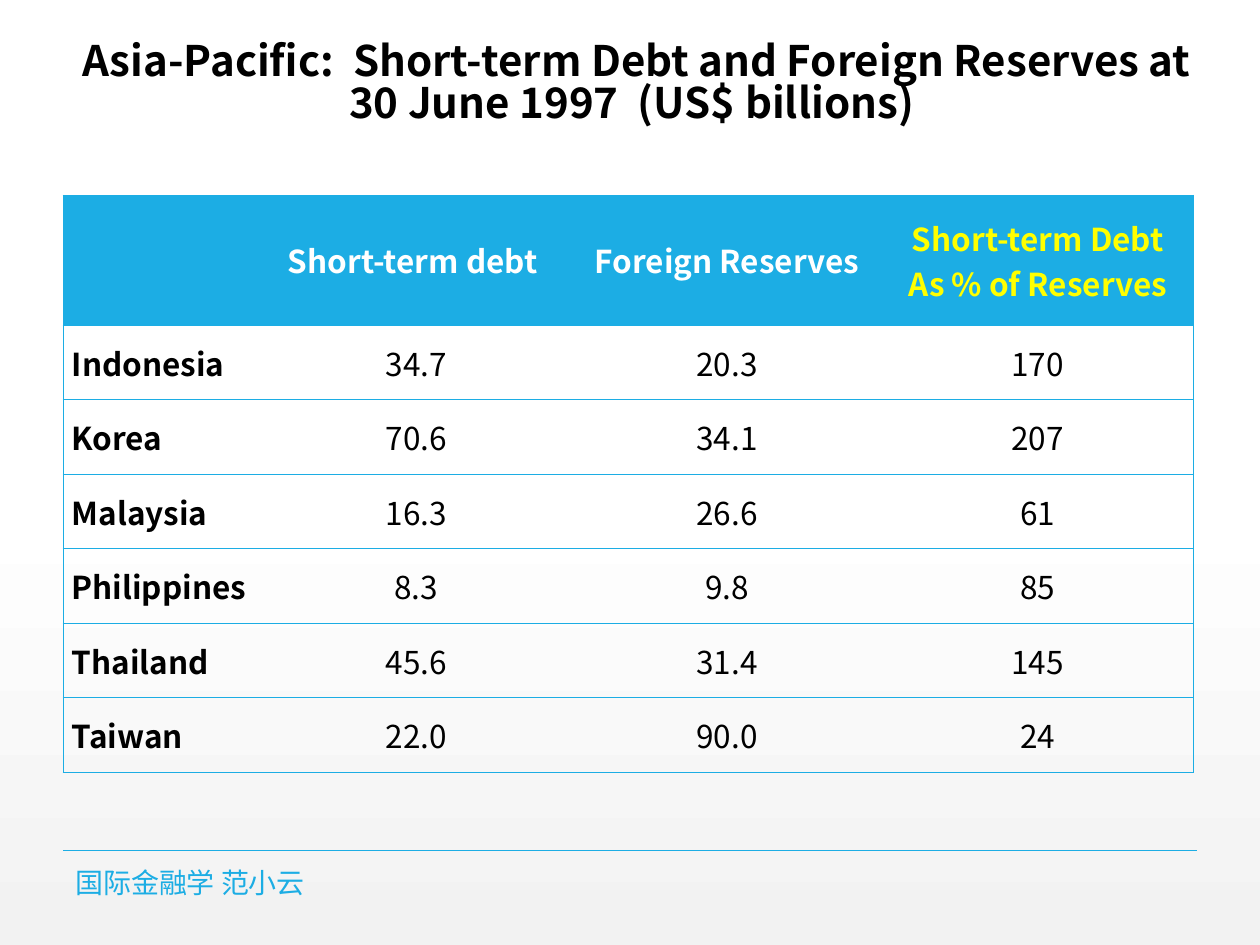
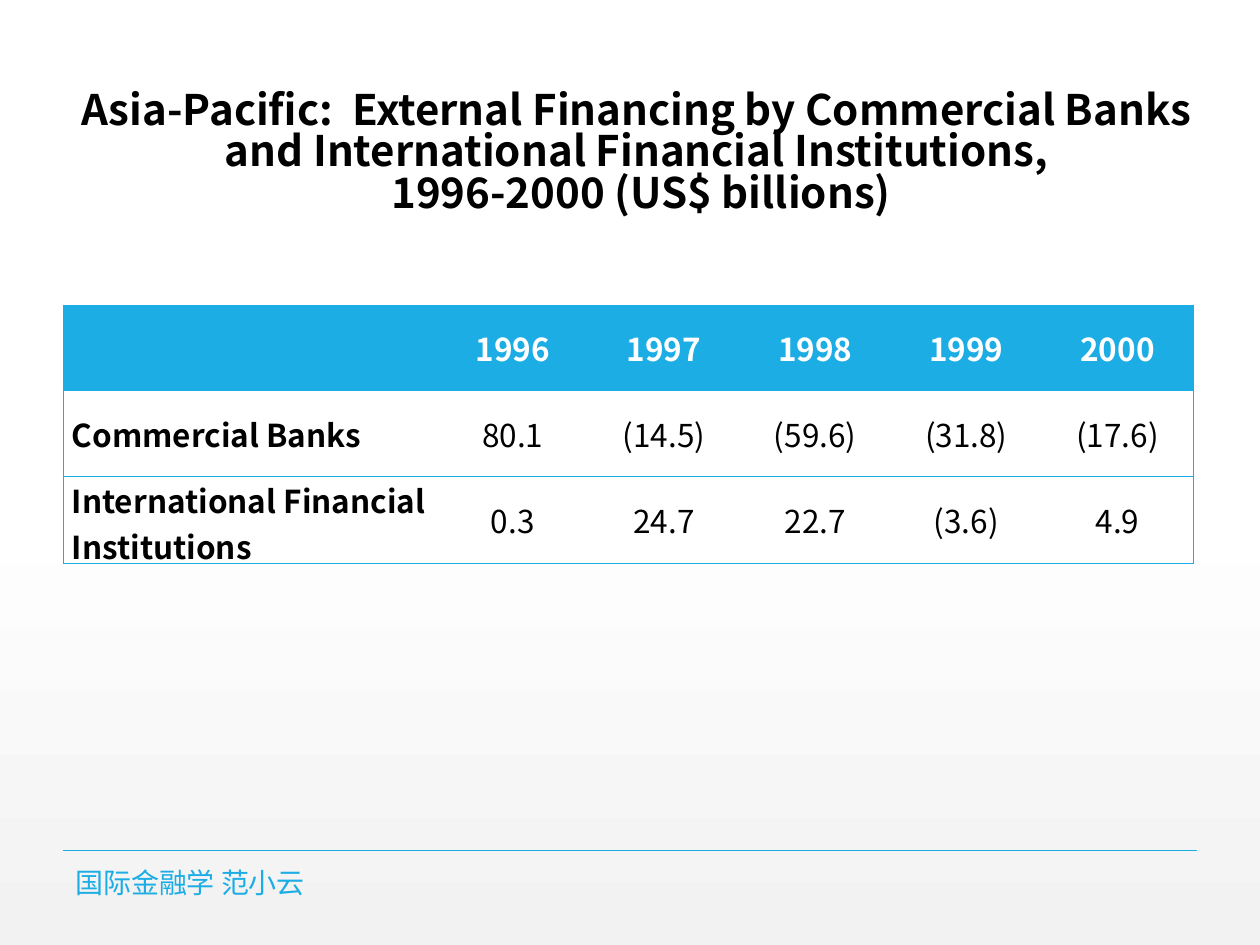
from lxml import etree
from pptx import Presentation
from pptx.dml.color import RGBColor
from pptx.enum.shapes import MSO_CONNECTOR
from pptx.enum.text import MSO_ANCHOR, MSO_AUTO_SIZE, PP_ALIGN
from pptx.oxml.ns import qn
from pptx.util import Inches, Pt

STRAIGHT = MSO_CONNECTOR.STRAIGHT
MIDDLE = MSO_ANCHOR.MIDDLE
NO_AUTOFIT = MSO_AUTO_SIZE.NONE
LEFT, CENTER = PP_ALIGN.LEFT, PP_ALIGN.CENTER

COLORS = {
    "accent": "1CADE4",
    "text": "000000",
    "header": "FFFFFF",
    "highlight": "FFFF00",
    "page_top": "FFFFFF",
    "page_bottom": "F2F2F2",
}
FONT = "Noto Sans CJK SC"
PLAIN_TABLE_STYLE = "{2D5ABB26-0587-4C30-8999-92F81FD0307C}"
MARGIN = 0.5
TABLE_WIDTH = 8.97

DEBT_ROWS = [
    ["", "Short-term debt ", "Foreign Reserves", "Short-term Debt\nAs % of Reserves"],
    ["Indonesia", "34.7", "20.3", "170"],
    ["Korea", "70.6", "34.1", "207"],
    ["Malaysia", "16.3", "26.6", "61"],
    ["Philippines", "8.3", "9.8", "85"],
    ["Thailand", "45.6", "31.4", "145"],
    ["Taiwan", "22.0", "90.0", "24"],
]
FINANCING_ROWS = [
    ["", "1996", "1997", "1998", "1999", "2000"],
    ["Commercial Banks", "80.1", "(14.5)", "(59.6)", "(31.8)", "(17.6)"],
    ["International Financial Institutions", "0.3", "24.7", "22.7", "(3.6)", "4.9"],
]


def rgb(name):
    return RGBColor.from_string(COLORS[name])


def inches(box):
    return [Inches(length) for length in box]


def write(frame, text, size, color, bold=False, align=LEFT):
    frame.text = text
    for paragraph in frame.paragraphs:
        paragraph.alignment = align
        for run in paragraph.runs:
            run.font.size = Pt(size)
            run.font.bold = bold
            run.font.name = FONT
            run.font.color.rgb = rgb(color)
            east_asian = etree.SubElement(run.font._element, qn("a:ea"))
            east_asian.set("typeface", FONT)


def paint_background(master):
    fill = master.background.fill
    fill.gradient()
    fill.gradient_angle = 270
    stops = ((0.53, "page_top"), (1, "page_bottom"))
    for stop, (position, color) in zip(fill.gradient_stops, stops):
        stop.position = position
        stop.color.rgb = rgb(color)


def add_title(slide, box, text):
    title = slide.shapes.title
    title.left, title.top, title.width, title.height = inches(box)
    frame = title.text_frame
    write(frame, text, 24, "text", True, CENTER)
    frame.word_wrap = True
    frame.auto_size = NO_AUTOFIT
    frame.vertical_anchor = MIDDLE
    for paragraph in frame.paragraphs:
        paragraph.line_spacing = 0.83
        paragraph.space_before = Pt(0)


def add_footer(slide, box):
    left, top, width, height = box
    rule = slide.shapes.add_connector(
        STRAIGHT, *inches((left, top, left + width, top)))
    rule.line.color.rgb = rgb("accent")
    rule.line.width = Pt(1)
    etree.SubElement(rule._element.spPr, qn("a:effectLst"))
    credit = slide.shapes.add_textbox(*inches((left, top + 0.13, 5.03, height - 0.13)))
    frame = credit.text_frame
    write(frame, "国际金融学 范小云", 16, "accent")
    frame.word_wrap = True
    frame.vertical_anchor = MIDDLE
    frame.margin_top = frame.margin_bottom = 0


def set_borders(cell, sides):
    properties = cell._tc.get_or_add_tcPr()
    for index, side in enumerate(sides):
        border = etree.Element(qn(f"a:ln{side}"), w=str(Pt(0.5)))
        fill = etree.SubElement(border, qn("a:solidFill"))
        etree.SubElement(fill, qn("a:srgbClr"), val=COLORS["accent"])
        properties.insert(index, border)


def format_cell(cell, text, is_header, is_label, is_last, highlighted):
    if is_header:
        cell.fill.solid()
        cell.fill.fore_color.rgb = rgb("accent")
        color = "highlight" if highlighted else "header"
    else:
        cell.fill.background()
        color = "text"
    write(cell.text_frame, text, 18, color, is_header or is_label,
          LEFT if is_label else CENTER)
    cell.vertical_anchor = MIDDLE
    cell.margin_left = cell.margin_right = Inches(0.07)
    cell.margin_top = cell.margin_bottom = 0
    set_borders(cell, ("L" if is_label else "") + ("R" if is_last else "") + "TB")


def add_data_table(slide, box, rows, label_width, header_height, highlight_column=None):
    left, top, width, height = box
    count = len(rows[0])
    frame = slide.shapes.add_table(len(rows), count, *inches(box))
    table = frame.table
    table.first_row = table.horz_banding = False
    table._tbl.tblPr.find(qn("a:tableStyleId")).text = PLAIN_TABLE_STYLE
    value_width = (width - label_width) / (count - 1)
    body_height = (height - header_height) / (len(rows) - 1)
    for c, column in enumerate(table.columns):
        column.width = Inches(value_width if c else label_width)
    for r, values in enumerate(rows):
        table.rows[r].height = Inches(body_height if r else header_height)
        for c, value in enumerate(values):
            format_cell(table.cell(r, c), value, r == 0, c == 0,
                        c == count - 1, c == highlight_column)


def add_table_slide(deck, title, title_box, table_top, table_height, rows, **table_options):
    slide = deck.slides.add_slide(deck.slide_layouts[5])
    add_footer(slide, (MARGIN, 6.75, 9, 0.37))
    add_title(slide, title_box, title)
    add_data_table(slide, (MARGIN, table_top, TABLE_WIDTH, table_height),
                   rows, **table_options)


def main():
    deck = Presentation()
    deck.slide_width, deck.slide_height = Inches(10), Inches(7.5)
    paint_background(deck.slide_master)
    add_table_slide(
        deck,
        "Asia-Pacific:  Short-term Debt and Foreign Reserves at "
        "30 June 1997  (US$ billions) ",
        (MARGIN, 0.22, 9.1, 0.91), 1.55, 4.58, DEBT_ROWS,
        label_width=1.57, header_height=1.03, highlight_column=3)
    add_table_slide(
        deck,
        "Asia-Pacific:  External Financing by Commercial Banks and "
        "International Financial Institutions,\n 1996-2000 (US$ billions)",
        (MARGIN, 0.57, 9.1, 1.31), 2.42, 2.05, FINANCING_ROWS,
        label_width=2.97, header_height=0.68)
    deck.save("out.pptx")


if __name__ == "__main__":
    main()
